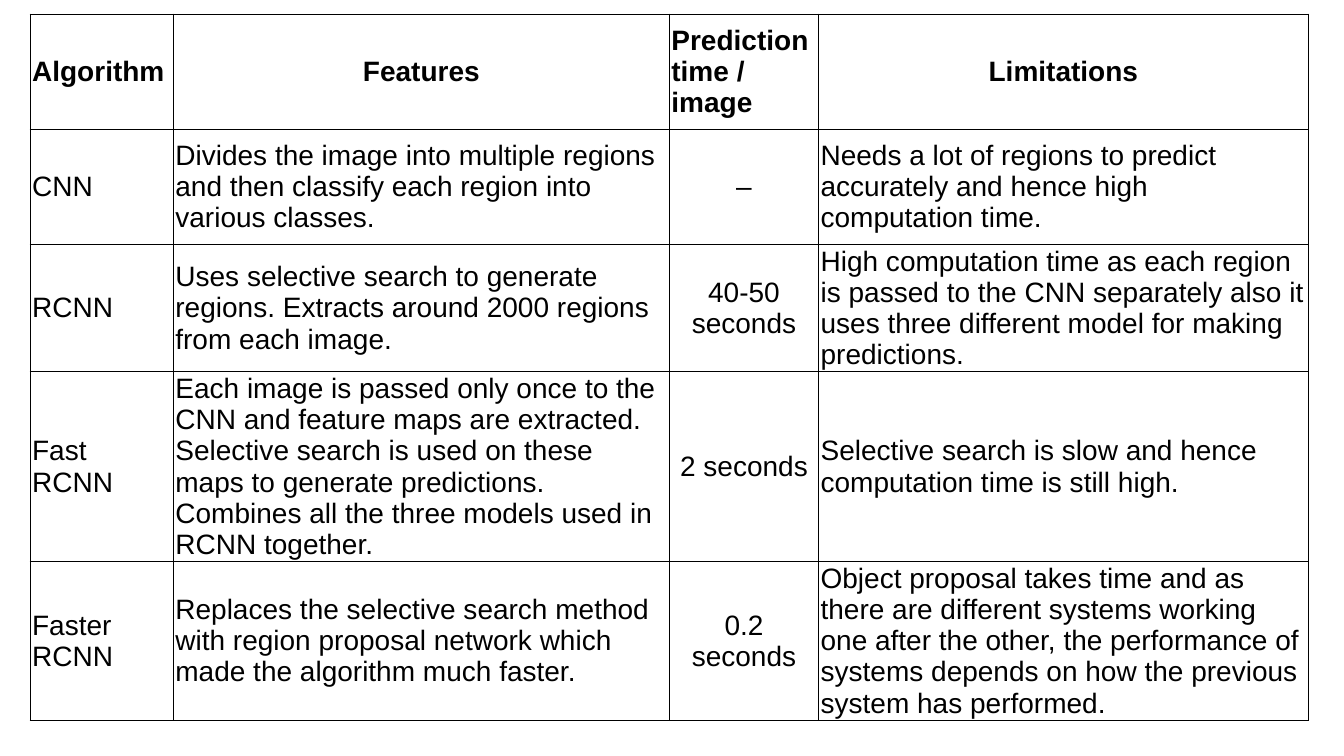
from lxml import etree
from pptx import Presentation
from pptx.dml.color import RGBColor
from pptx.enum.text import MSO_ANCHOR, PP_ALIGN
from pptx.oxml.ns import qn
from pptx.util import Cm, Pt

BLACK = RGBColor(0x00, 0x00, 0x00)
WHITE = RGBColor(0xFF, 0xFF, 0xFF)
LEFT, CENTER = PP_ALIGN.LEFT, PP_ALIGN.CENTER
MIDDLE = MSO_ANCHOR.MIDDLE

COLUMN_WIDTHS = [3.61, 12.5, 3.76, 12.34]
ROW_HEIGHTS = [2.9, 2.9, 3.02, 3.99, 3.99]
HEADER_ALIGN = [LEFT, CENTER, LEFT, CENTER]
BODY_ALIGN = [LEFT, LEFT, CENTER, LEFT]

ALGORITHMS = [
    ["Algorithm", "Features", "Prediction time / image", "Limitations"],
    ["CNN",
     "Divides the image into multiple regions and then classify each region "
     "into various classes.",
     "–",
     "Needs a lot of regions to predict accurately and hence high "
     "computation time."],
    ["RCNN",
     "Uses selective search to generate regions. Extracts around 2000 regions "
     "from each image.",
     "40-50 seconds",
     "High computation time as each region is passed to the CNN separately "
     "also it uses three different model for making predictions."],
    ["Fast RCNN",
     "Each image is passed only once to the CNN and feature maps are "
     "extracted. Selective search is used on these maps to generate "
     "predictions. Combines all the three models used in RCNN together.",
     "2 seconds",
     "Selective search is slow and hence computation time is still high."],
    ["Faster RCNN",
     "Replaces the selective search method with region proposal network "
     "which made the algorithm much faster.",
     "0.2 seconds",
     "Object proposal takes time and as there are different systems working "
     "one after the other, the performance of systems depends on how the "
     "previous system has performed."],
]


class SlideBuilder:
    font_format = {"name": "Arial", "size": Pt(20)}
    cell_format = {
        "vertical_anchor": MIDDLE,
        "margin_left": Cm(0.05),
        "margin_right": Cm(0.05),
        "margin_top": Cm(0.03),
        "margin_bottom": Cm(0.03),
    }
    border_width = Pt(1)

    def __init__(self, prs):
        self.s = prs.slides.add_slide(prs.slide_layouts[6])

    def borders(self, cell):
        tc_pr = cell._tc.get_or_add_tcPr()
        for side in ("a:lnL", "a:lnR", "a:lnT", "a:lnB"):
            ln = etree.SubElement(tc_pr, qn(side), w=str(self.border_width))
            fill = etree.SubElement(ln, qn("a:solidFill"))
            etree.SubElement(fill, qn("a:srgbClr"), val=str(BLACK))

    def cell(self, cell, text, align, bold):
        self.borders(cell)
        cell.fill.solid()
        cell.fill.fore_color.rgb = WHITE
        for name, value in self.cell_format.items():
            setattr(cell, name, value)
        p = cell.text_frame.paragraphs[0]
        p.alignment = align
        r = p.add_run()
        r.text = text
        for name, value in {**self.font_format, "bold": bold}.items():
            setattr(r.font, name, value)
        r.font.color.rgb = BLACK

    def table(self, left, top, widths, heights, rows):
        frame = self.s.shapes.add_table(
            len(heights), len(widths), Cm(left), Cm(top),
            Cm(sum(widths)), Cm(sum(heights)))
        table = frame.table
        table.horz_banding = False
        for column, width in zip(table.columns, widths):
            column.width = Cm(width)
        for i, (row, height) in enumerate(zip(table.rows, heights)):
            row.height = Cm(height)
            aligns = BODY_ALIGN if i else HEADER_ALIGN
            for cell, text, align in zip(row.cells, rows[i], aligns):
                self.cell(cell, text, align, bold=i == 0)


def main():
    prs = Presentation()
    prs.slide_width, prs.slide_height = Cm(33.87), Cm(19.05)
    slide = SlideBuilder(prs)
    slide.table(0.76, 0.36, COLUMN_WIDTHS, ROW_HEIGHTS, ALGORITHMS)
    prs.save("out.pptx")


if __name__ == "__main__":
    main()
